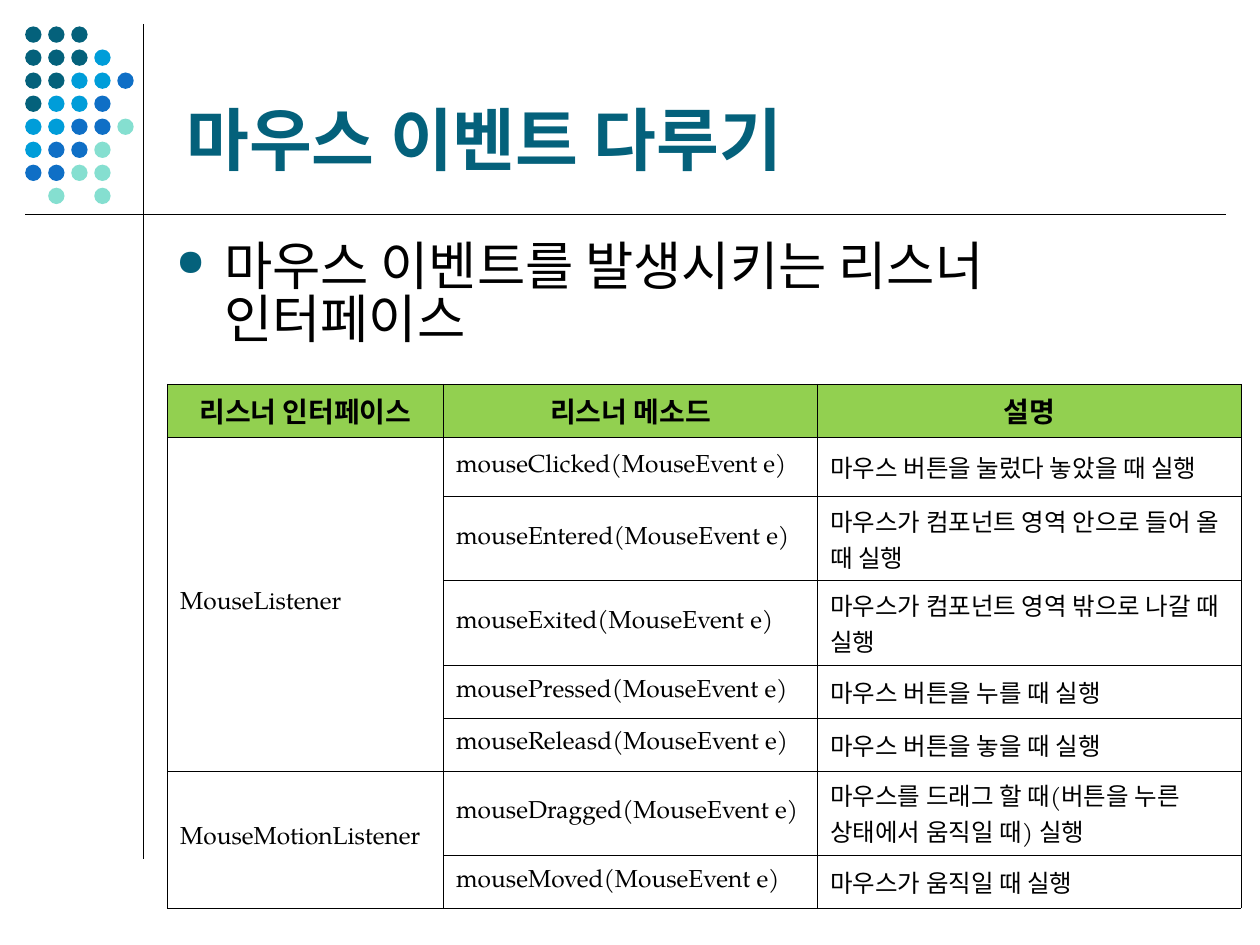
from pptx import Presentation
from pptx.dml.color import RGBColor
from pptx.enum.shapes import MSO_CONNECTOR as Conn, MSO_SHAPE as Kind
from pptx.enum.text import MSO_ANCHOR as Anchor, PP_ALIGN as Align
from pptx.oxml import parse_xml
from pptx.oxml.ns import nsdecls
from pptx.util import Inches, Pt

NS = nsdecls("a")
SANS, SERIF = "Noto Sans", "TeX Gyre Pagella"
TEAL, BLACK = "04617B", "000000"
HUES = {"T": TEAL, "S": "009DD9", "B": "0F6FC6", "M": "85DFD0"}
DOTS = ["TTT", "TTTS", "TTSSB", "TSSB", "SSBBM", "SBBM", "BBMM", " M M"]

HEAD = ["리스너 인터페이스", "리스너 메소드", "설명"]
ROWS = [
    ["MouseListener", "mouseClicked(MouseEvent e)", "마우스 버튼을 눌렀다 놓았을 때 실행"],
    ["", "mouseEntered(MouseEvent e)", "마우스가 컴포넌트 영역 안으로 들어 올 때 실행"],
    ["", "mouseExited(MouseEvent e)", "마우스가 컴포넌트 영역 밖으로 나갈 때 실행"],
    ["", "mousePressed(MouseEvent e)", "마우스 버튼을 누를 때 실행"],
    ["", "mouseReleasd(MouseEvent e)", "마우스 버튼을 놓을 때 실행"],
    ["MouseMotionListener", "mouseDragged(MouseEvent e)",
     "마우스를 드래그 할 때(버튼을 누른 상태에서 움직일 때) 실행"],
    ["", "mouseMoved(MouseEvent e)", "마우스가 움직일 때 실행"],
]
WIDTHS = [2.19, 2.97, 3.36]
HEIGHTS = [0.42, 0.47, 0.67, 0.67, 0.42, 0.42, 0.67, 0.42]
SPANS = [(1, 5), (6, 7)]


def color(code):
    return RGBColor.from_string(code)


class Deck:
    """Holds the text styles and the current slide."""

    styles = {
        "title": {"name": SANS, "size": Pt(39), "bold": True, "hue": TEAL},
        "body": {"name": SERIF, "size": Pt(30), "bold": False, "hue": BLACK},
        "head": {"name": SERIF, "size": Pt(16), "bold": True, "hue": BLACK},
        "cell": {"name": SERIF, "size": Pt(14), "bold": False, "hue": BLACK},
    }

    def __init__(self, slide):
        self.slide = slide
        self.shapes = slide.shapes

    def put(self, frame, text, style):
        """Fill the first paragraph of a frame with styled text."""
        para = frame.paragraphs[0]
        run = para.add_run()
        run.text = text
        for key, value in self.styles[style].items():
            if key == "hue":
                run.font.color.rgb = color(value)
            else:
                setattr(run.font, key, value)
        return para

    def line(self, x1, y1, x2, y2):
        line = self.shapes.add_connector(
            Conn.STRAIGHT, *map(Inches, (x1, y1, x2, y2)))
        line.line.color.rgb = color(BLACK)
        line.line.width = Pt(0.75)
        line._element.spPr.append(parse_xml(f"<a:effectLst {NS}/>"))

    def dot(self, x, y, hue):
        dot = self.shapes.add_shape(
            Kind.OVAL, *map(Inches, (x, y, 0.13, 0.13)))
        dot.shadow.inherit = False
        dot.fill.solid()
        dot.fill.fore_color.rgb = color(hue)
        dot.line.fill.background()

    def text(self, box, text, style, anchor=Anchor.TOP):
        frame = self.shapes.add_textbox(*map(Inches, box)).text_frame
        frame.word_wrap = True
        frame.vertical_anchor = anchor
        return self.put(frame, text, style)

    def bullet(self, box, text):
        para = self.text(box, text, "body")
        para.line_spacing = 0.84
        props = para._p.get_or_add_pPr()
        props.set("marL", str(Inches(0.38)))
        props.set("indent", str(Inches(-0.38)))
        for part in (f'<a:buClr {NS}><a:srgbClr val="{TEAL}"/></a:buClr>',
                     f'<a:buSzPct {NS} val="70000"/>',
                     f'<a:buChar {NS} char="●"/>'):
            props.append(parse_xml(part))

    def cell(self, cell, text, style, fill, align):
        cell.fill.solid()
        cell.fill.fore_color.rgb = color(fill)
        cell.vertical_anchor = Anchor.MIDDLE
        props = cell._tc.get_or_add_tcPr()
        for i, side in enumerate("LRTB"):
            props.insert(i, parse_xml(
                f'<a:ln{side} {NS} w="{Pt(0.45)}"><a:solidFill>'
                f'<a:srgbClr val="{BLACK}"/></a:solidFill></a:ln{side}>'))
        if text:
            self.put(cell.text_frame, text, style).alignment = align

    def table(self, x, y):
        size = map(Inches, (x, y, sum(WIDTHS), sum(HEIGHTS)))
        grid = self.shapes.add_table(len(HEIGHTS), len(WIDTHS), *size).table
        for col, width in zip(grid.columns, WIDTHS):
            col.width = Inches(width)
        for row, height in zip(grid.rows, HEIGHTS):
            row.height = Inches(height)
        for r, row in enumerate([HEAD] + ROWS):
            look = (("cell", "FFFFFF", Align.LEFT) if r
                    else ("head", "92D050", Align.CENTER))
            for c, text in enumerate(row):
                self.cell(grid.cell(r, c), text, *look)
        for top, end in SPANS:
            grid.cell(top, 0).merge(grid.cell(end, 0))


def main():
    prs = Presentation()
    prs.slide_width, prs.slide_height = Inches(10), Inches(7.5)
    deck = Deck(prs.slides.add_slide(prs.slide_layouts[6]))
    deck.line(1.14, 0.19, 1.14, 6.82)
    step = 1.28 / 7
    for r, row in enumerate(DOTS):
        for c, key in enumerate(row):
            if key in HUES:
                deck.dot(0.2 + c * step, 0.21 + r * step, HUES[key])
    deck.line(0.2, 1.7, 9.73, 1.7)
    deck.text((1.38, 0.21, 8.25, 1.26), "마우스 이벤트 다루기", "title",
              Anchor.BOTTOM)
    deck.bullet((1.3, 1.88, 8.2, 4.82),
                "마우스 이벤트를 발생시키는 리스너 인터페이스")
    deck.table(1.33, 3.05)
    prs.save("out.pptx")


if __name__ == "__main__":
    main()
